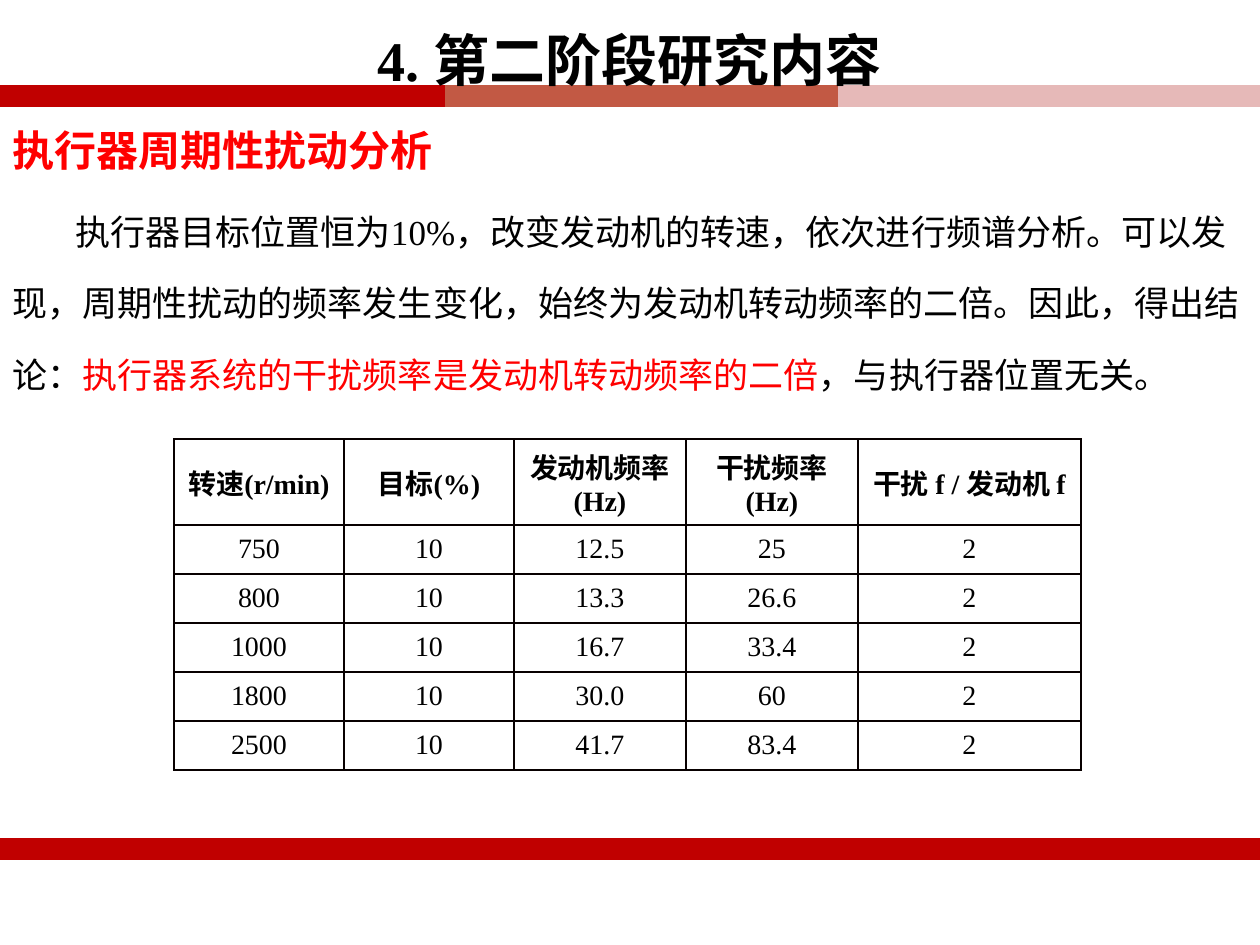
from lxml import etree
from pptx import Presentation, util as u
from pptx.dml.color import RGBColor
from pptx.enum import shapes, text
from pptx.oxml.ns import qn

PX = 914400 / 126
COLORS = {"black": "000000", "red": "FF0000", "crimson": "C00000",
          "brick": "C25944", "pink": "E6B9B8", "border": "080000"}


def px(*lengths):
    """Turn pixel lengths into EMU."""
    return [u.Emu(round(n * PX)) for n in lengths]


def add_run(paragraph, words, size, color="black", bold=False):
    run = paragraph.add_run()
    run.text = words
    run.font.name = "Times New Roman"
    run.font.size = u.Pt(size)
    run.font.bold = bold
    run.font.color.rgb = RGBColor.from_string(COLORS[color])


prs = Presentation()
prs.slide_width, prs.slide_height = px(1260, 945)
slide = prs.slides.add_slide(prs.slide_layouts[5])

# Header and footer bars
for left, right, y, color in [(0, 1260, 849, "crimson"), (0, 445, 96, "crimson"),
                              (445, 838, 96, "brick"), (838, 1260, 96, "pink")]:
    bar = slide.shapes.add_connector(shapes.MSO_CONNECTOR.STRAIGHT, *px(left, y, right, y))
    bar.line.color.rgb = RGBColor.from_string(COLORS[color])
    bar.line.width = u.Pt(13)
    etree.SubElement(bar.element.spPr, qn("a:effectLst"))

# Title, brought in front of the bars
title = slide.shapes.title
title.left, title.top, title.width, title.height = px(0, -14, 1260, 115)
title.element.getparent().append(title.element)
title.text_frame.vertical_anchor = text.MSO_ANCHOR.TOP
title.text_frame.auto_size = text.MSO_AUTO_SIZE.NONE
heading = title.text_frame.paragraphs[0]
heading.alignment = text.PP_ALIGN.CENTER
heading.line_spacing = 1.5
add_run(heading, "4. 第二阶段研究内容", 32, bold=True)

# Subtitle and explanation
subtitle = [("执行器周期性扰动分析", 24, "red", True)]
explanation = [
    ("执行器目标位置恒为10%，改变发动机的转速，依次进行频谱分析。可以发现，"
     "周期性扰动的频率发生变化，始终为发动机转动频率的二倍。因此，得出结论：", 20),
    ("执行器系统的干扰频率是发动机转动频率的二倍", 20, "red"),
    ("，与执行器位置无关。", 20),
]
for top, height, spacing, indent, runs in [(93, 89, 1.5, 0, subtitle),
                                           (175, 229, 1.7, 63, explanation)]:
    frame = slide.shapes.add_textbox(*px(0, top, 1260, height)).text_frame
    frame.word_wrap = True
    paragraph = frame.paragraphs[0]
    paragraph.line_spacing = spacing
    paragraph._p.get_or_add_pPr().set("indent", str(px(indent)[0]))
    for run in runs:
        add_run(paragraph, *run)

# Frequency table
rows = [
    ("转速(r/min)", "目标(%)", "发动机频率(Hz)", "干扰频率(Hz)", "干扰 f / 发动机 f"),
    ("750", "10", "12.5", "25", "2"),
    ("800", "10", "13.3", "26.6", "2"),
    ("1000", "10", "16.7", "33.4", "2"),
    ("1800", "10", "30.0", "60", "2"),
    ("2500", "10", "41.7", "83.4", "2"),
]
col_widths = [170, 170, 172, 172, 223]
row_heights = [86] + [49] * 5
frequencies = slide.shapes.add_table(
    len(rows), len(col_widths),
    *px(174, 439, sum(col_widths), sum(row_heights))).table
frequencies.first_row = frequencies.horz_banding = False
for column, width in zip(frequencies.columns, px(*col_widths)):
    column.width = width
for row, height in zip(frequencies.rows, px(*row_heights)):
    row.height = height

for r, values in enumerate(rows):
    for c, value in enumerate(values):
        cell = frequencies.cell(r, c)
        cell.margin_left, cell.margin_right, cell.margin_top, cell.margin_bottom = px(9, 9, 0, 0)
        cell.vertical_anchor = text.MSO_ANCHOR.MIDDLE
        entry = cell.text_frame.paragraphs[0]
        entry.alignment = text.PP_ALIGN.CENTER
        add_run(entry, value, 16, bold=r == 0)
        properties = cell._tc.get_or_add_tcPr()
        for side in ("lnL", "lnR", "lnT", "lnB"):
            border = etree.SubElement(properties, qn(f"a:{side}"), w=str(u.Pt(1)))
            fill = etree.SubElement(border, qn("a:solidFill"))
            etree.SubElement(fill, qn("a:srgbClr"), val=COLORS["border"])
        cell.fill.background()

prs.save("out.pptx")
